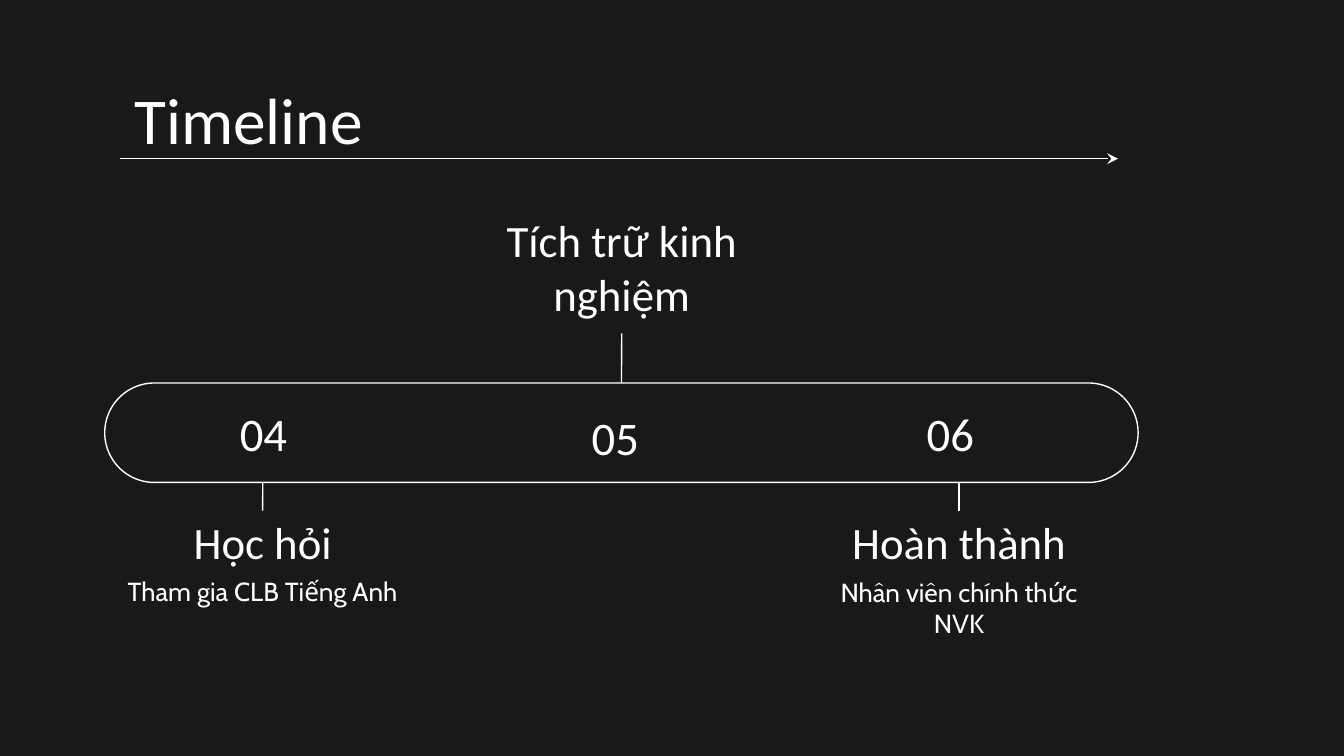
from dataclasses import dataclass
from typing import Optional

from lxml.etree import SubElement
from pptx import Presentation
from pptx.dml.color import RGBColor
from pptx.enum.shapes import MSO_CONNECTOR, MSO_SHAPE
from pptx.enum.text import MSO_ANCHOR, PP_ALIGN
from pptx.oxml.ns import qn
from pptx.util import Cm, Pt

WHITE, DARK = "FFFFFF", "191919"
PAD = 0.25
BAR_X, BAR_Y, BAR_W, BAR_H = 1.98, 7.24, 19.53, 1.88
LABEL_H = 1.35


@dataclass
class Step:
    num: str
    num_x: float
    num_y: float
    label: str
    x: float
    y: float
    width: float
    note: str = ""
    note_y: float = 0
    above: bool = False


STEPS = [
    Step("04", 4.04, 7.24, "Học hỏi", 2.03, 9.65, 5.87,
         "Tham gia CLB Tiếng Anh", 10.62),
    Step("05", 10.69, 7.32, "Tích trữ kinh nghiệm", 8.08, 4.95, 7.34,
         above=True),
    Step("06", 17.02, 7.24, "Hoàn thành", 15.19, 9.65, 5.87,
         "Nhân viên chính thức NVK", 10.64),
]


def paint(target, color: str) -> None:
    """Give a fill one solid colour."""
    target.solid()
    target.fore_color.rgb = RGBColor.from_string(color)


def add_text(slide, text: str, x: float, y: float, w: float, h: float,
             size: int, anchor=MSO_ANCHOR.TOP, align=PP_ALIGN.CENTER,
             font: str = "Calibri", left: float = PAD):
    box = slide.shapes.add_textbox(Cm(x), Cm(y), Cm(w), Cm(h))
    frame = box.text_frame
    frame.word_wrap = True
    frame.vertical_anchor = anchor
    frame.margin_left = Cm(left)
    frame.margin_right = frame.margin_top = frame.margin_bottom = Cm(PAD)
    par = frame.paragraphs[0]
    par.text = text
    par.alignment = align
    par.font.name = font
    par.font.size = Pt(size)
    paint(par.font.fill, WHITE)
    return box


def add_line(slide, x1: float, y1: float, x2: float, y2: float,
             arrow: Optional[str] = None):
    line = slide.shapes.add_connector(
        MSO_CONNECTOR.STRAIGHT, Cm(x1), Cm(y1), Cm(x2), Cm(y2))
    line.line.width = Pt(0.75)
    paint(line.line.fill, WHITE)
    props = line._element.spPr
    if arrow:
        SubElement(props.find(qn("a:ln")), qn("a:tailEnd"), type=arrow)
    SubElement(props, qn("a:effectLst"))
    return line


def add_bar(slide):
    bar = slide.shapes.add_shape(
        MSO_SHAPE.ROUNDED_RECTANGLE,
        Cm(BAR_X), Cm(BAR_Y), Cm(BAR_W), Cm(BAR_H))
    bar.adjustments[0] = 0.5
    bar.shadow.inherit = False
    bar.fill.background()
    bar.line.width = Pt(0.75)
    paint(bar.line.fill, WHITE)
    return bar


def add_step(slide, bar, step: Step) -> None:
    """Draw a step's number, label, note and the stem to the bar."""
    add_text(slide, step.num, step.num_x, step.num_y, BAR_H, BAR_H, 25,
             MSO_ANCHOR.MIDDLE)
    label = add_text(slide, step.label, step.x, step.y, step.width, LABEL_H,
                     24, MSO_ANCHOR.BOTTOM)
    if step.note:
        add_text(slide, step.note, step.x, step.note_y, step.width, LABEL_H,
                 14, font="Cabin")
    mid = step.x + step.width / 2
    if step.above:
        stem = add_line(slide, mid, step.y + LABEL_H, mid, BAR_Y)
        stem.begin_connect(label, 2)
        stem.end_connect(bar, 0)
    else:
        stem = add_line(slide, mid, BAR_Y + BAR_H, mid, step.y)
        stem.end_connect(label, 0)


def main() -> None:
    deck = Presentation()
    deck.slide_width, deck.slide_height = Cm(25.4), Cm(14.29)
    slide = deck.slides.add_slide(deck.slide_layouts[6])
    paint(slide.background.fill, DARK)

    add_line(slide, 2.26, 3, 21.13, 3, "stealth")
    add_text(slide, "Timeline", 2.01, 1.24, 21.41, 1.6, 35,
             align=PP_ALIGN.LEFT, left=0.53)
    bar = add_bar(slide)
    for step in STEPS:
        add_step(slide, bar, step)
    deck.save("out.pptx")


if __name__ == "__main__":
    main()
